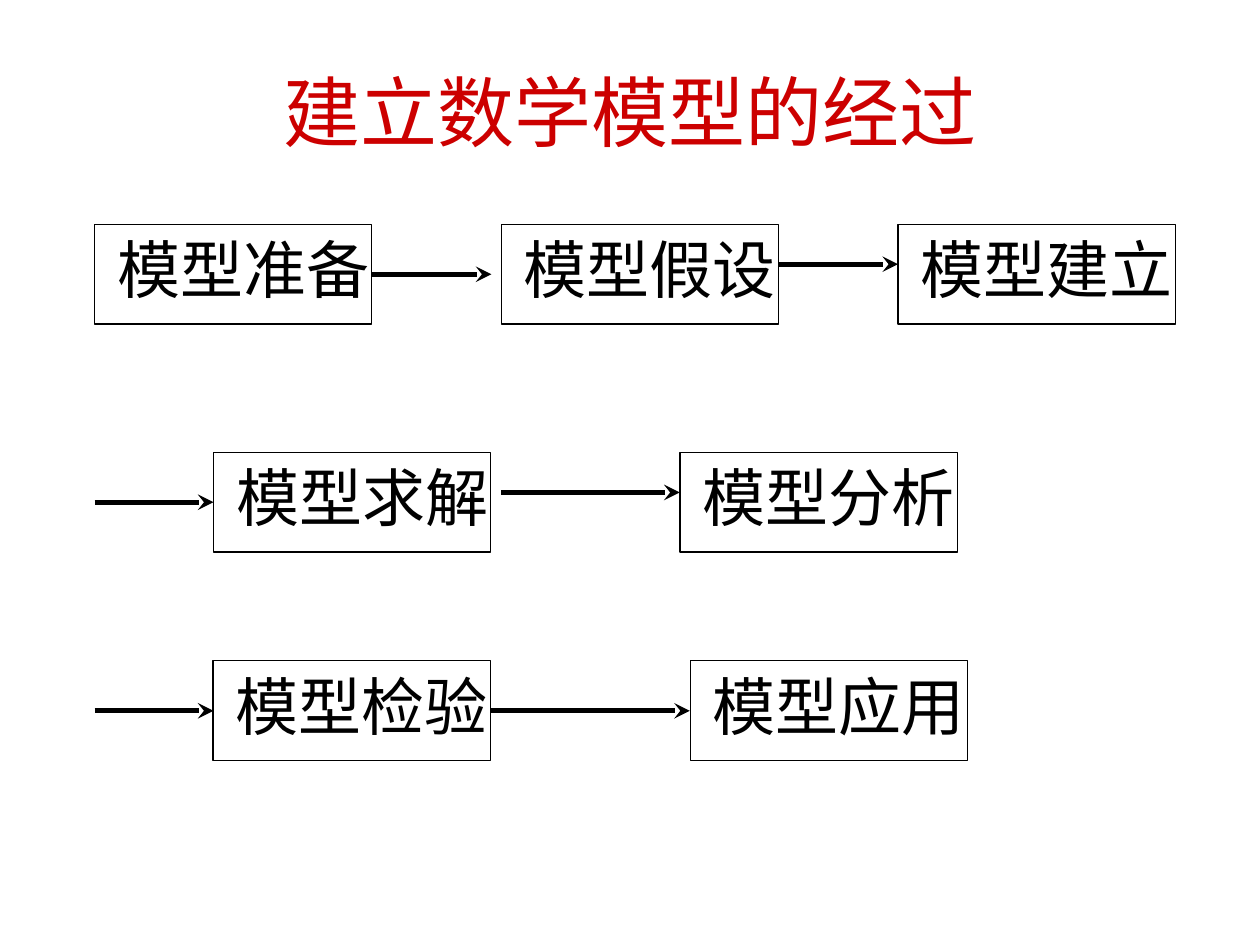
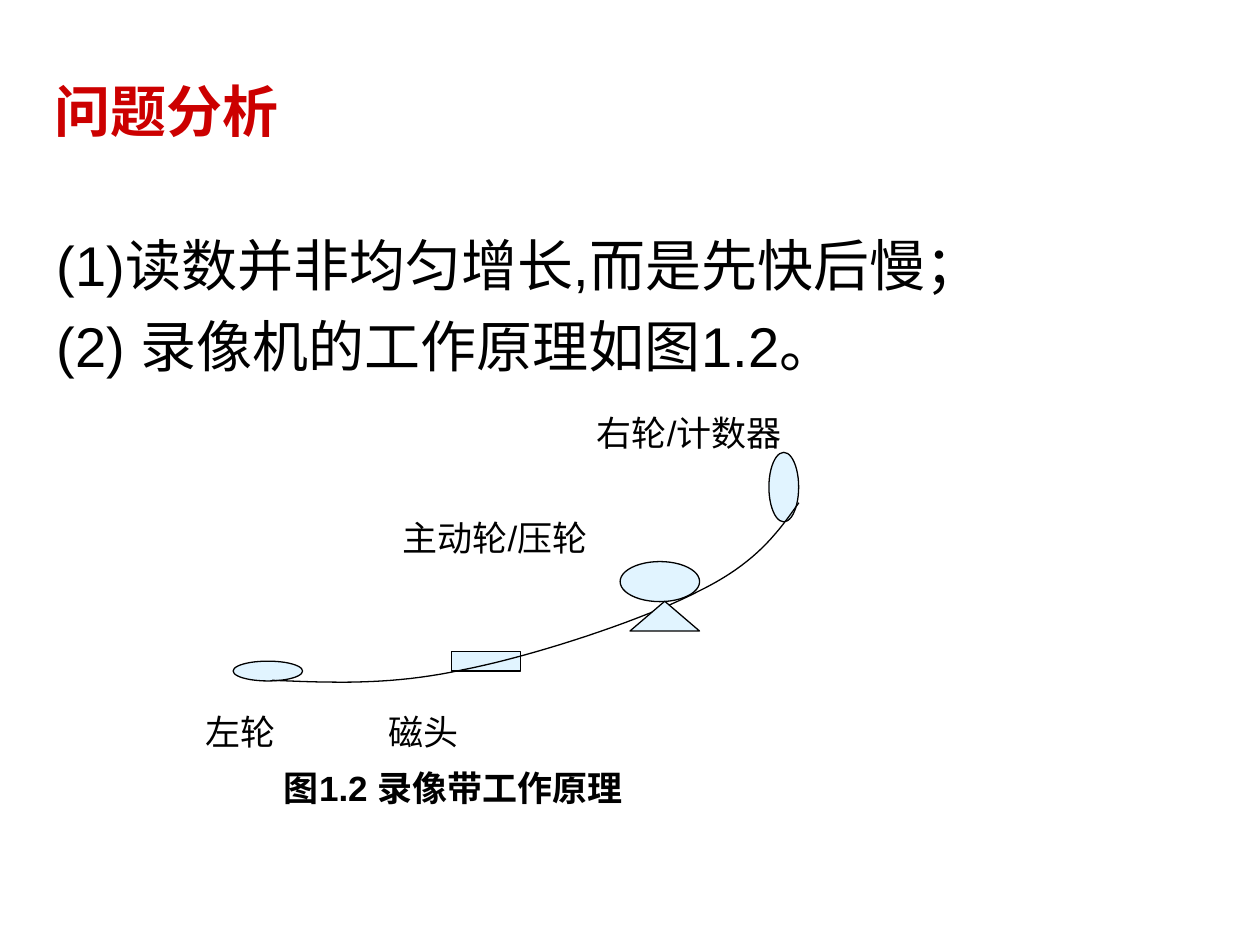
from lxml import etree
from pptx import Presentation
from pptx import util as u
from pptx.dml import color
from pptx.enum import shapes, text
from pptx.oxml import ns

COLORS = {"title": "CC0000", "ink": "000000", "part": "E1F4FF"}
FONT = "Arial"
TITLE_ONLY = 5
BOX_WIDTH, BOX_HEIGHT = 158.4, 56.9
CURVE_STEPS = 20


def rgb(name):
    return color.RGBColor.from_string(COLORS[name])


def format_text(frame, size, color_name="ink", bold=False, align=text.PP_ALIGN.LEFT):
    for paragraph in frame.paragraphs:
        paragraph.alignment = align
        for run in paragraph.runs:
            run.font.name = FONT
            run.font.size = u.Pt(size)
            run.font.bold = bold
            run.font.color.rgb = rgb(color_name)


def set_insets(frame, left, top, right, bottom):
    frame.margin_left, frame.margin_top = u.Pt(left), u.Pt(top)
    frame.margin_right, frame.margin_bottom = u.Pt(right), u.Pt(bottom)


def add_titled_slide(presentation, title, width, size, bold, align):
    slide = presentation.slides.add_slide(presentation.slide_layouts[TITLE_ONLY])
    shape = slide.shapes.title
    shape.left, shape.top = u.Pt(24), u.Pt(18)
    shape.width, shape.height = u.Pt(width), u.Pt(90)
    frame = shape.text_frame
    frame.text = title
    frame.auto_size = text.MSO_AUTO_SIZE.NONE
    frame.vertical_anchor = text.MSO_ANCHOR.MIDDLE
    set_insets(frame, 7.2, 3.6, 7.2, 3.6)
    format_text(frame, size, "title", bold, align)
    return slide


def outline(shape, fill=None):
    shape.shadow.inherit = False
    if fill:
        shape.fill.solid()
        shape.fill.fore_color.rgb = rgb(fill)
    else:
        shape.fill.background()
    shape.line.color.rgb = rgb("ink")
    shape.line.width = u.Pt(0.75)


def add_outlined(slide, kind, left, top, width, height, fill=None):
    shape = slide.shapes.add_shape(kind, u.Pt(left), u.Pt(top), u.Pt(width), u.Pt(height))
    outline(shape, fill)
    return shape


def add_step(slide, label, left, top):
    shape = add_outlined(slide, shapes.MSO_SHAPE.RECTANGLE, left, top, BOX_WIDTH, BOX_HEIGHT)
    frame = shape.text_frame
    frame.text = label
    frame.word_wrap = True
    frame.vertical_anchor = text.MSO_ANCHOR.TOP
    set_insets(frame, 13, 3.6, 0, 0)
    format_text(frame, 36)


def add_arrow(slide, start, end, y):
    connector = slide.shapes.add_connector(
        shapes.MSO_CONNECTOR.STRAIGHT, u.Pt(start), u.Pt(y), u.Pt(end), u.Pt(y))
    connector.line.color.rgb = rgb("ink")
    connector.line.width = u.Pt(3)
    etree.SubElement(connector.line._get_or_add_ln(), ns.qn("a:tailEnd"), type="stealth")
    etree.SubElement(connector._element.spPr, ns.qn("a:effectLst"))


def add_text(slide, lines, left, top, width, height, size, bold=False):
    box = slide.shapes.add_textbox(u.Pt(left), u.Pt(top), u.Pt(width), u.Pt(height))
    frame = box.text_frame
    frame.text = "\n".join(lines)
    frame.word_wrap = True
    set_insets(frame, 0, 0, 0, 0)
    for paragraph in frame.paragraphs[1:]:
        paragraph.space_before = u.Pt(8)
    format_text(frame, size, bold=bold)
    return frame


def add_label(slide, label, left, center, width, bold=False):
    frame = add_text(slide, [label], left, center - 18, width, 36, 20, bold)
    frame.vertical_anchor = text.MSO_ANCHOR.MIDDLE


def bezier_points(start, control_1, control_2, end):
    for step in range(1, CURVE_STEPS + 1):
        t = step / CURVE_STEPS
        weights = ((1 - t) ** 3, 3 * t * (1 - t) ** 2, 3 * t ** 2 * (1 - t), t ** 3)
        yield tuple(
            u.Pt(sum(w * c for w, c in zip(weights, axis)))
            for axis in zip(start, control_1, control_2, end))


def add_curve(slide, knots):
    builder = slide.shapes.build_freeform(u.Pt(knots[0][0]), u.Pt(knots[0][1]))
    for index in range(0, len(knots) - 1, 3):
        builder.add_line_segments(list(bezier_points(*knots[index:index + 4])), close=False)
    outline(builder.convert_to_shape())


def build_process_slide(presentation):
    slide = add_titled_slide(presentation, "建立数学模型的经过", 672.5, 44, False,
                             text.PP_ALIGN.CENTER)
    rows = [
        (128.2, [("模型准备", 54), ("模型假设", 286.4), ("模型建立", 513.2)]),
        (258.5, [("模型求解", 122), ("模型分析", 388.6)]),
        (377.6, [("模型检验", 121.8), ("模型应用", 394.4)]),
    ]
    for top, steps in rows:
        for label, left in steps:
            add_step(slide, label, left, top)
    arrows = [
        (212.4, 280.8, 156.7), (445, 513.2, 151),
        (54, 122, 287), (286.4, 388.4, 281.4),
        (54, 122, 406.2), (280.8, 394.2, 406.2),
    ]
    for start, end, y in arrows:
        add_arrow(slide, start, end, y)


def build_analysis_slide(presentation):
    slide = add_titled_slide(presentation, "问题分析", 330.5, 32, True, text.PP_ALIGN.LEFT)
    add_text(slide, ["(1)读数并非均匀增长,而是先快后慢；", "(2) 录像机的工作原理如图1.2。"],
             32.4, 131.8, 658, 92, 32)

    labels = [
        ("右轮/计数器", 341, 247, 150, False),
        ("主动轮/压轮", 230, 307, 150, False),
        ("左轮", 117.7, 418, 60, False),
        ("磁头", 222.2, 418, 60, False),
        ("图1.2 录像带工作原理", 162.3, 450, 260, True),
    ]
    for label in labels:
        add_label(slide, *label)

    kinds = shapes.MSO_SHAPE
    left_wheel = (kinds.OVAL, 133.2, 377.8, 39.7, 11.3)
    tape_head = (kinds.RECTANGLE, 257.9, 372.1, 39.7, 11.3)
    drive_wheel = (kinds.OVAL, 354.4, 320.9, 45.4, 22.9)
    right_wheel = (kinds.OVAL, 439.4, 258.5, 17, 39.7)
    press_wheel = (kinds.FLOWCHART_EXTRACT, 360, 343.6, 39.7, 17)
    for part in (left_wheel, tape_head, drive_wheel, right_wheel):
        add_outlined(slide, *part, fill="part")
    add_curve(slide, [
        (155.5, 388.8), (189.4, 390.2), (223.2, 391.7), (263.5, 383),
        (304.6, 375.1), (367.9, 354.2), (399.6, 337.7),
        (432, 321.8), (444.2, 304.6), (456.5, 287.3),
    ])
    add_outlined(slide, *press_wheel, fill="part")


def main():
    presentation = Presentation()
    presentation.slide_width, presentation.slide_height = u.Pt(720), u.Pt(540)
    build_process_slide(presentation)
    build_analysis_slide(presentation)
    presentation.save("out.pptx")


if __name__ == "__main__":
    main()
